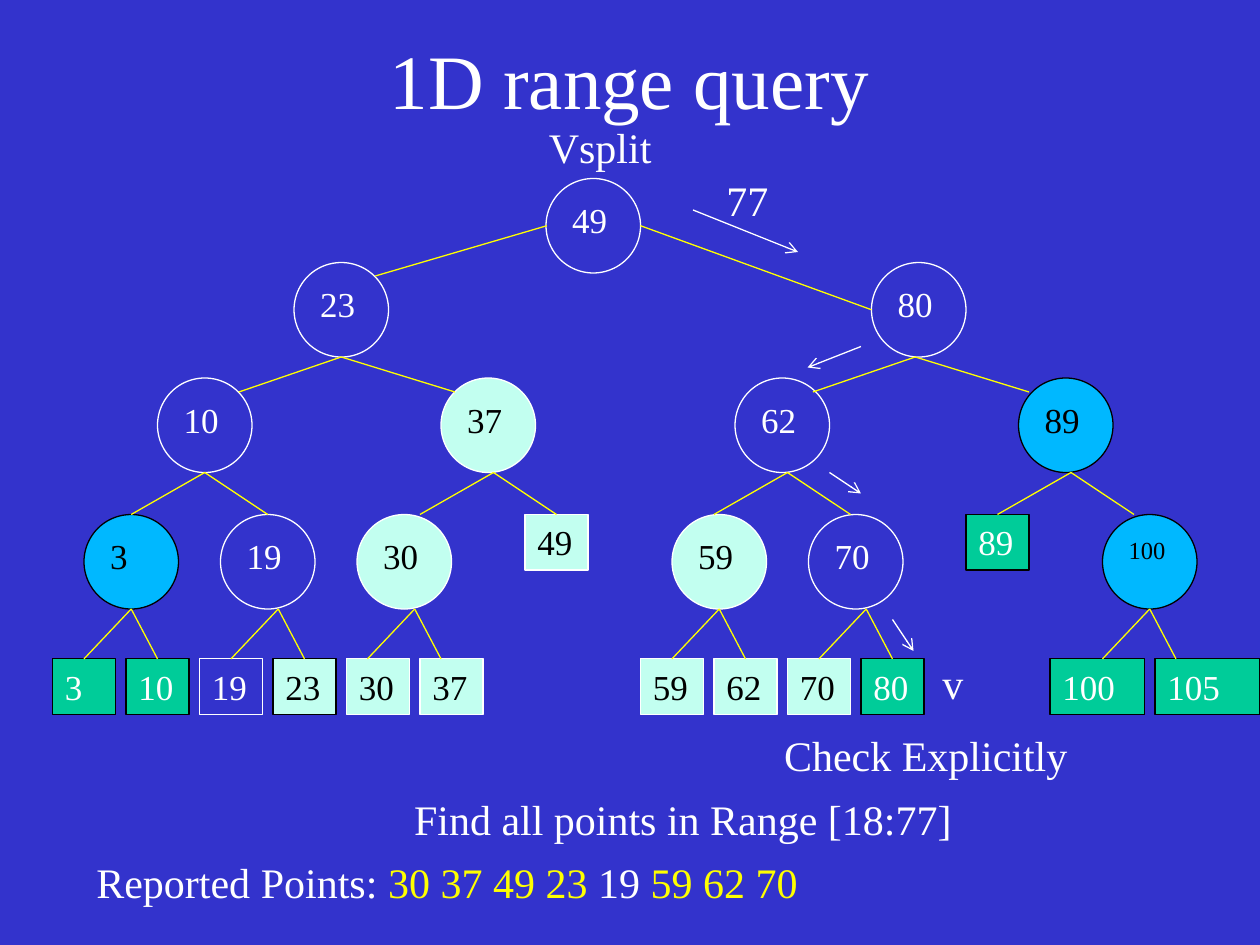
"""Build the slide that walks a search tree for a 1D range query."""
import pptx
import pptx.util
import pptx.dml.color
import pptx.enum.shapes
import pptx.enum.text
import pptx.oxml.ns
from lxml import etree

Pt = pptx.util.Pt
RGBColor = pptx.dml.color.RGBColor
Shape = pptx.enum.shapes.MSO_SHAPE
Anchor = pptx.enum.text.MSO_ANCHOR
AutoSize = pptx.enum.text.MSO_AUTO_SIZE
Align = pptx.enum.text.PP_ALIGN

BLUE = RGBColor(0x33, 0x33, 0xCC)
WHITE = RGBColor(0xFF, 0xFF, 0xFF)
BLACK = RGBColor(0, 0, 0)
YELLOW = RGBColor(0xFF, 0xFF, 0)
MINT = RGBColor(0xC2, 0xFF, 0xF0)
SKY = RGBColor(0, 0xB8, 0xFF)
GREEN = RGBColor(0, 0xCC, 0x99)
FONT = "Times New Roman"

TITLE = "1D range query"

STYLES = {
    "visited": {"fill": None, "line": WHITE, "text": WHITE},
    "reported": {"fill": MINT, "line": WHITE, "text": BLACK},
    "reported leaf": {"fill": MINT, "line": BLACK, "text": BLACK},
    "outside": {"fill": SKY, "line": BLACK, "text": BLACK},
    "outside leaf": {"fill": GREEN, "line": BLACK, "text": WHITE},
}

NODE_SIZE = 54
LEAF_HEIGHT = 31.7
LEAF_TOP = 376.5
LEVEL_TOPS = [102, 150, 216, 294]
NODES = [
    [("49", 312, "visited")],
    [("23", 168, "visited"), ("80", 498, "visited")],
    [("10", 90, "visited"), ("37", 252, "reported"),
     ("62", 420, "visited"), ("89", 582, "outside")],
    [("3", 48, "outside"), ("19", 126, "visited"), ("30", 204, "reported"),
     ("59", 384, "reported"), ("70", 462, "visited"), ("100", 630, "outside")],
]
LEAVES = [
    (LEVEL_TOPS[3], [("49", 300, 36, "reported"), ("89", 552, 36, "outside leaf")]),
    (LEAF_TOP, [
        ("3", 30, 36, "outside leaf"), ("10", 72, 36, "outside leaf"),
        ("19", 114, 36, "visited"), ("23", 156, 36, "reported leaf"),
        ("30", 198, 36, "reported"), ("37", 240, 36, "reported"),
        ("59", 366, 36, "reported"), ("62", 408, 36, "reported"),
        ("70", 450, 36, "reported"), ("80", 492, 36, "outside leaf"),
        ("100", 600, 54, "outside leaf"), ("105", 660, 60, "outside leaf")]),
]

ROOT_EDGES = [((312.5, 129), (214.5, 157.7)), ((366, 129), (498, 177))]
FORKS = [
    {"top": 204, "bottom": 224, "reach": (-58.5, 65), "apexes": [195, 523]},
    {"top": 270, "bottom": LEVEL_TOPS[3], "reach": (-42, 36),
     "apexes": [117, 282, 450, 612]},
    {"top": 348, "bottom": LEAF_TOP, "reach": (-27, 15),
     "apexes": [75, 159, 237, 411, 495, 657]},
]
ARROWS = [
    ((396, 120), (456, 144)), ((492, 198), (461.5, 210)),
    ((474, 270), (492, 282)), ((510, 354), (522, 372)),
]

LABELS = [
    (229.5, 450, 328, False, [("Find all points in Range [18:77]", WHITE)]),
    (408, 96, 42, False, [("77", WHITE)]),
    (306.5, 66, 74, False, [("Vsplit", WHITE)]),
    (531.5, 372, 28, True, [("v", WHITE)]),
    (441, 413.5, 177, False, [("Check Explicitly", WHITE)]),
    (48, 486, 456, True, [("Reported Points: ", WHITE), ("30 37 49 23 ", YELLOW),
                          ("19 ", WHITE), ("59 62 70", YELLOW)]),
]


def format_span(span, size, color):
    span.font.name = FONT
    span.font.size = Pt(size)
    span.font.color.rgb = color


def add_item(page, kind, left, top, width, height, text, style):
    colors = STYLES[style]
    item = page.shapes.add_shape(kind, Pt(left), Pt(top), Pt(width), Pt(height))
    item.shadow.inherit = False
    if colors["fill"] is None:
        item.fill.background()
    else:
        item.fill.solid()
        item.fill.fore_color.rgb = colors["fill"]
    item.line.color.rgb = colors["line"]
    item.line.width = Pt(0.75)
    frame = item.text_frame
    frame.text = text
    frame.word_wrap = True
    frame.vertical_anchor = Anchor.TOP
    para = frame.paragraphs[0]
    para.alignment = Align.LEFT
    small = kind == Shape.OVAL and len(text) > 2
    format_span(para.runs[0], 14 if small else 20, colors["text"])
    return item


def add_line(page, start, end, color, arrow=False):
    line = page.shapes.add_connector(
        pptx.enum.shapes.MSO_CONNECTOR.STRAIGHT, *(Pt(v) for v in start + end))
    line.line.color.rgb = color
    line.line.width = Pt(0.75)
    properties = line._element.spPr
    if arrow:
        etree.SubElement(properties.find(pptx.oxml.ns.qn("a:ln")),
                         pptx.oxml.ns.qn("a:tailEnd"), type="arrow")
    etree.SubElement(properties, pptx.oxml.ns.qn("a:effectLst"))
    return line


def add_label(page, left, top, width, wraps, runs):
    box = page.shapes.add_textbox(Pt(left), Pt(top), Pt(width), Pt(36))
    frame = box.text_frame
    frame.word_wrap = wraps
    frame.auto_size = AutoSize.SHAPE_TO_FIT_TEXT
    for text, color in runs:
        span = frame.paragraphs[0].add_run()
        span.text = text
        format_span(span, 24, color)


def add_title(page):
    title = page.shapes.title
    title.left, title.top, title.width, title.height = (
        Pt(v) for v in (54, 12, 611.5, 66))
    frame = title.text_frame
    frame.text = TITLE
    frame.auto_size = AutoSize.NONE
    frame.vertical_anchor = Anchor.MIDDLE
    frame.paragraphs[0].alignment = Align.CENTER
    format_span(frame.paragraphs[0].runs[0], 44, WHITE)


def add_tree(page):
    for top, nodes in zip(LEVEL_TOPS, NODES):
        for text, left, style in nodes:
            add_item(page, Shape.OVAL, left, top, NODE_SIZE, NODE_SIZE, text, style)
    leaf_at = {}
    for top, leaves in LEAVES:
        for text, left, width, style in leaves:
            leaf_at[left + width / 2, top] = add_item(
                page, Shape.RECTANGLE, left, top, width, LEAF_HEIGHT, text, style)
    for start, end in ROOT_EDGES:
        add_line(page, start, end, YELLOW)
    for fork in FORKS:
        for apex in fork["apexes"]:
            for reach in fork["reach"]:
                end = (apex + reach, fork["bottom"])
                edge = add_line(page, (apex, fork["top"]), end, YELLOW)
                if end in leaf_at:
                    edge.end_connect(leaf_at[end], 0)


def main():
    deck = pptx.Presentation()
    deck.slide_width, deck.slide_height = Pt(720), Pt(540)
    page = deck.slides.add_slide(deck.slide_layouts[5])
    page.background.fill.solid()
    page.background.fill.fore_color.rgb = BLUE
    add_title(page)
    add_tree(page)
    for start, end in ARROWS:
        add_line(page, start, end, WHITE, arrow=True)
    for label in LABELS:
        add_label(page, *label)
    deck.save("out.pptx")


if __name__ == "__main__":
    main()
